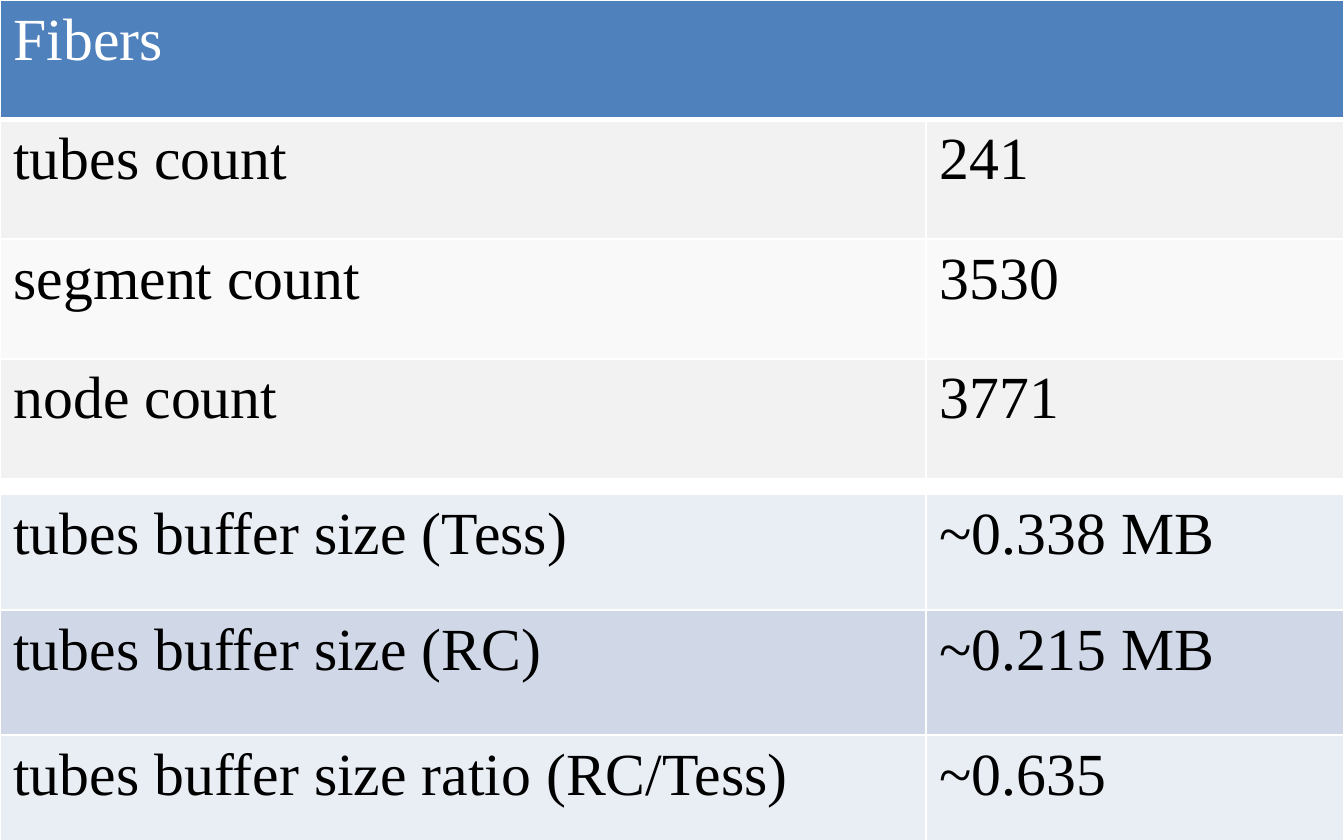
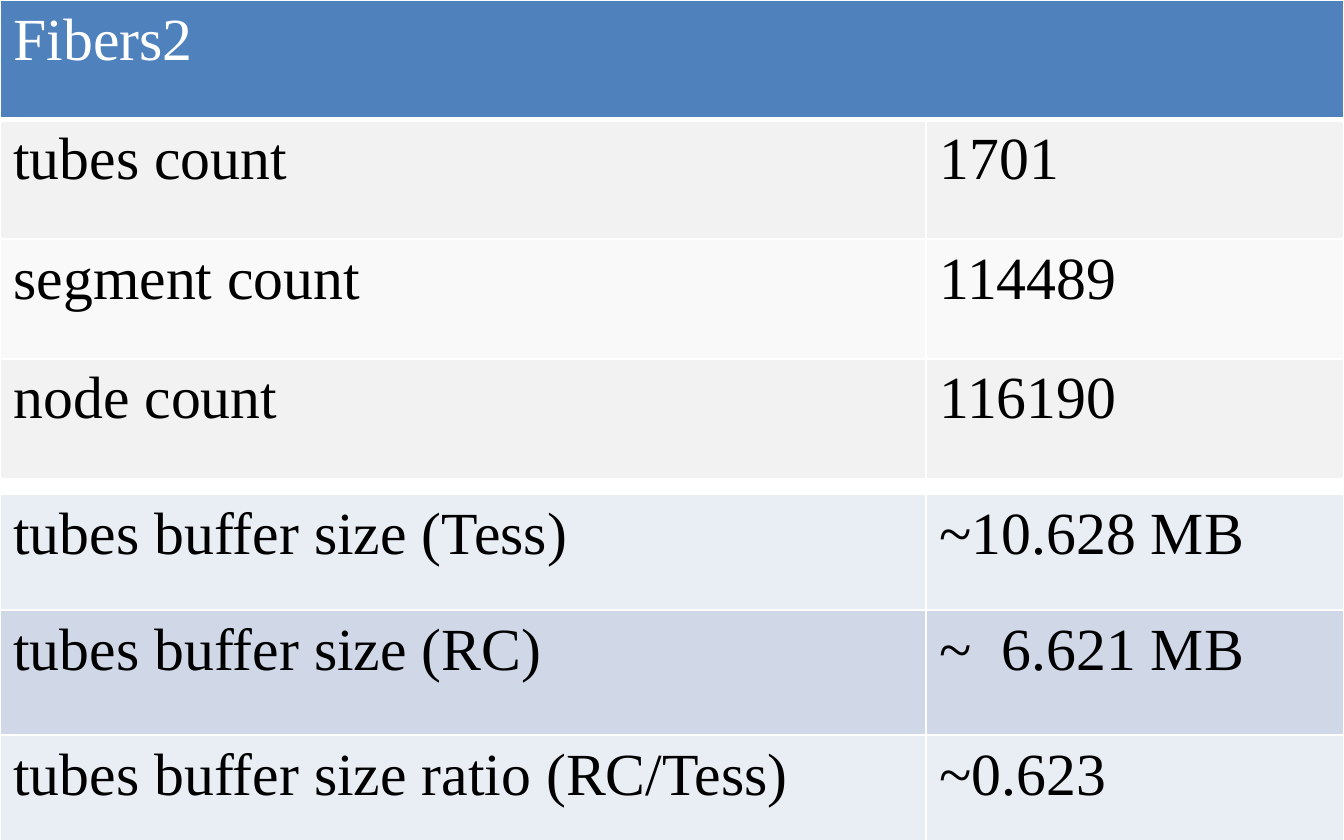
from dataclasses import dataclass

from lxml import etree
from pptx import Presentation
from pptx.dml.color import RGBColor
from pptx.oxml.ns import qn
from pptx.util import Inches, Pt

# Content: a title and one value per label; None is the gap between the groups
LABELS = ["tubes count", "segment count", "node count", None,
          "tubes buffer size (Tess)", "tubes buffer size (RC)",
          "tubes buffer size ratio (RC/Tess)"]
DATA = [
    ("Fibers", ["241", "3530", "3771", None,
                "~0.338 MB", "~0.215 MB", "~0.635"]),
    # the figure space is as wide as a digit and lines up the decimals
    ("Fibers2", ["1701", "114489", "116190", None,
                 "~10.628 MB", "~\u20076.621 MB", "~0.623"]),
]


@dataclass(frozen=True)
class Theme:
    """Colours, font and type sizes of all slides."""
    font: str = "Times New Roman"
    size: int = 32
    tiny: int = 1
    head: str = "4F81BD"
    light: str = "FFFFFF"
    dark: str = "000000"
    counts: tuple = ("F2F2F2", "F9F9F9")
    sizes: tuple = ("E9EDF4", "D0D8E8")
    thin: int = 1
    thick: int = 3


THEME = Theme()
WIDTH, HEIGHT = 10, 6.25
COLS = [0.689 * WIDTH, 0.311 * WIDTH]
ROW, GAP = 0.89, 0.12
ROWS = [ROW] * 4 + [GAP, 0.86, 0.93, ROW]
SPLIT = LABELS.index(None)


def edge(cell, top, bottom):
    """Draw light borders round a cell, with the given top and bottom width."""
    props = cell._tc.get_or_add_tcPr()
    widths = {"L": THEME.thin, "R": THEME.thin, "T": top, "B": bottom}
    for side, width in widths.items():
        line = etree.SubElement(props, qn(f"a:ln{side}"), w=str(Pt(width)))
        fill = etree.SubElement(line, qn("a:solidFill"))
        etree.SubElement(fill, qn("a:srgbClr"), val=THEME.light)


def paint(cell, text, fill, color=THEME.dark, top=THEME.thin,
          bottom=THEME.thin):
    """Give a cell its borders, fill and text."""
    edge(cell, top, bottom)
    cell.fill.solid()
    cell.fill.fore_color.rgb = RGBColor.from_string(fill)
    cell.text = text
    font = cell.text_frame.paragraphs[0].font
    font.name, font.size, font.bold = THEME.font, Pt(THEME.size), False
    font.color.rgb = RGBColor.from_string(color)


def shrink(cell):
    """Let an empty cell be as low as its row."""
    cell.margin_top = cell.margin_bottom = 0
    para = cell.text_frame.paragraphs[0]
    para.font.size = Pt(THEME.tiny)
    para._p.get_or_add_endParaRPr().set("sz", str(THEME.tiny * 100))


def band(index):
    """Return the fill of a body row: each group alternates two tints."""
    if index < SPLIT:
        return THEME.counts[index % 2]
    return THEME.sizes[(index - SPLIT - 1) % 2]


def build(deck, title, values):
    """Add one slide filled by the table of a data set."""
    slide = deck.slides.add_slide(deck.slide_layouts[6])
    table = slide.shapes.add_table(len(ROWS), len(COLS), 0, 0, Inches(WIDTH),
                                   Inches(sum(ROWS))).table
    table.first_row = table.horz_banding = False
    for col, width in zip(table.columns, COLS):
        col.width = Inches(width)
    for row, height in zip(table.rows, ROWS):
        row.height = Inches(height)

    for row in (0, SPLIT + 1):
        table.cell(row, 0).merge(table.cell(row, 1))
    for cell, text in zip(table.rows[0].cells, (title, "")):
        paint(cell, text, THEME.head, THEME.light, bottom=THEME.thick)

    for index, pair in enumerate(zip(LABELS, values)):
        top = THEME.thin if index else THEME.thick
        for cell, text in zip(table.rows[index + 1].cells, pair):
            if text is None:
                paint(cell, "", THEME.light)
                shrink(cell)
            else:
                paint(cell, text, band(index), top=top)


def main():
    """Build and save the deck."""
    deck = Presentation()
    deck.slide_width, deck.slide_height = Inches(WIDTH), Inches(HEIGHT)
    for title, values in DATA:
        build(deck, title, values)
    deck.save("out.pptx")


main()
